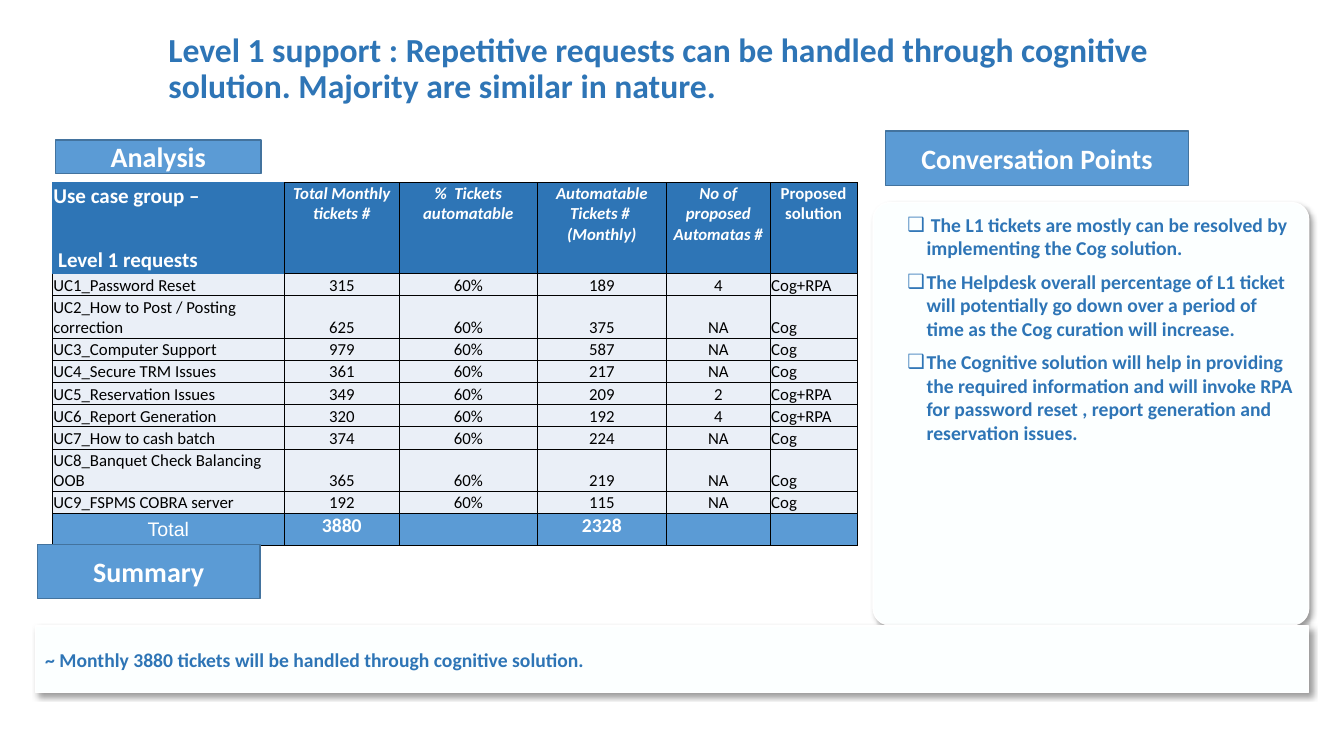
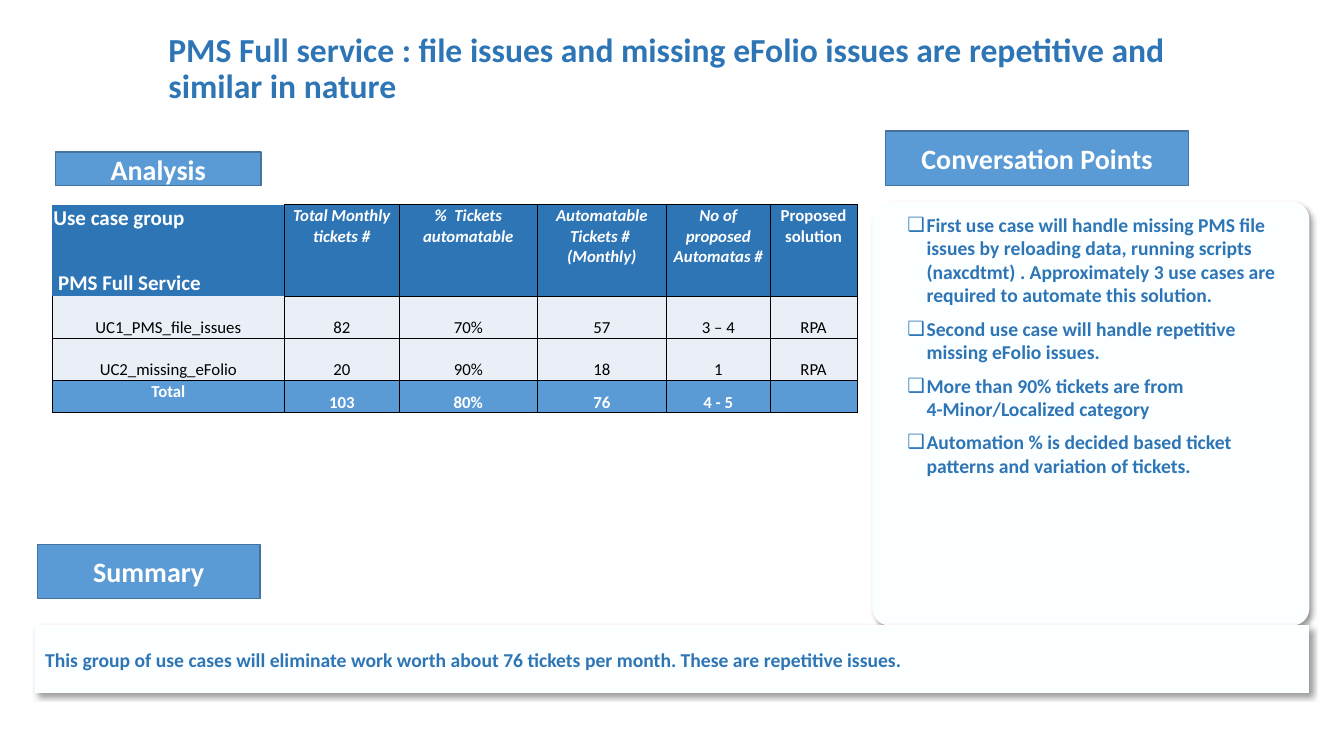
from lxml import etree
from pptx import Presentation
from pptx.dml.color import RGBColor
from pptx.enum.shapes import MSO_SHAPE
from pptx.enum.text import MSO_ANCHOR, MSO_AUTO_SIZE, PP_ALIGN
from pptx.oxml.ns import qn
from pptx.util import Pt

LEFT, CENTER = PP_ALIGN.LEFT, PP_ALIGN.CENTER
TOP, MIDDLE, BOTTOM = MSO_ANCHOR.TOP, MSO_ANCHOR.MIDDLE, MSO_ANCHOR.BOTTOM
RECTANGLE, ROUNDED = MSO_SHAPE.RECTANGLE, MSO_SHAPE.ROUNDED_RECTANGLE
NO_AUTOFIT = MSO_AUTO_SIZE.NONE

EMU_PER_PX = 9144
COLORS = {
    "accent": "2E75B6",
    "label": "5B9BD5",
    "label_edge": "43739E",
    "panel": "FCFFFF",
    "row": "EAEFF7",
    "white": "FFFFFF",
    "black": "000000",
}

TITLE_BOX = (157, 11, 1049, 116)
POINTS_LABEL_BOX = (878, 130, 301, 54)
POINTS_BOX = (866, 201, 432, 419)
SUMMARY_LABEL_BOX = (37, 540, 221, 54)
SUMMARY_BOX = (35, 621, 1263, 66)

COLUMN_WIDTHS = [230, 114, 137, 128, 103, 86]
HEADER_HEIGHTS = [25, 64]
TOTAL_HEIGHT = 32
COLUMN_HEADERS = [
    "Total Monthly tickets #",
    "%  Tickets\nautomatable",
    "Automatable Tickets #  (Monthly)",
    "No of proposed Automatas #",
    "Proposed solution",
]

SLIDES = [
    {
        "title": "Level 1 support : Repetitive requests can be handled through "
                 "cognitive solution. Majority are similar in nature.",
        "analysis_top": 139,
        "table_top": 181,
        "group": ["Use case group –", " Level 1 requests"],
        "text_align": LEFT,
        "row_heights": [22, 42, 22, 22, 22, 22, 22, 42, 22],
        "rows": [
            ["UC1_Password Reset", "315", "60%", "189", "4", "Cog+RPA"],
            ["UC2_How to Post / Posting correction", "625", "60%", "375", "NA", "Cog"],
            ["UC3_Computer Support", "979", "60%", "587", "NA", "Cog"],
            ["UC4_Secure TRM Issues", "361", "60%", "217", "NA", "Cog"],
            ["UC5_Reservation Issues", "349", "60%", "209", "2", "Cog+RPA"],
            ["UC6_Report Generation", "320", "60%", "192", "4", "Cog+RPA"],
            ["UC7_How to cash batch", "374", "60%", "224", "NA", "Cog"],
            ["UC8_Banquet Check Balancing OOB", "365", "60%", "219", "NA", "Cog"],
            ["UC9_FSPMS COBRA server", "192", "60%", "115", "NA", "Cog"],
        ],
        "totals": ["Total", "3880", "", "2328", "", ""],
        "total_label": {"size": 14, "font": "Arial", "bold": False, "anchor": MIDDLE},
        "total_value": {"size": 14, "bold": True, "anchor": TOP},
        "points": [
            " The L1 tickets are mostly can be resolved by implementing the Cog solution.",
            "The Helpdesk overall percentage of L1 ticket will potentially go down "
            "over a period of time as the Cog curation will increase.",
            "The Cognitive solution will help in providing the required information "
            "and will invoke RPA for password reset , report generation and "
            "reservation issues.",
        ],
        "summary": "~ Monthly 3880 tickets will be handled through cognitive solution.",
    },
    {
        "title": "PMS Full service : file issues and missing eFolio issues are "
                 "repetitive and similar in nature",
        "analysis_top": 151,
        "table_top": 203,
        "group": ["Use case group", " PMS Full Service"],
        "text_align": CENTER,
        "row_heights": [42, 42],
        "rows": [
            ["UC1_PMS_file_issues", "82", "70%", "57", "3 – 4", "RPA"],
            ["UC2_missing_eFolio", "20", "90%", "18", "1", "RPA"],
        ],
        "totals": ["Total", "103", "80%", "76", "4 - 5", ""],
        "total_label": {"size": 12, "bold": True, "anchor": TOP},
        "total_value": {"size": 12, "bold": True, "anchor": BOTTOM},
        "points": [
            "First use case will handle missing PMS file issues by reloading data, "
            "running scripts (naxcdtmt) . Approximately 3 use cases are required "
            "to automate this solution.",
            "Second use case will handle repetitive missing eFolio issues.",
            "More than 90% tickets are from 4-Minor/Localized category",
            "Automation % is decided based ticket patterns and variation of tickets.",
        ],
        "summary": "This group of use cases will eliminate work worth about 76 "
                   "tickets per month. These are repetitive issues.",
    },
]


def px(length):
    return length * EMU_PER_PX


def rgb(name):
    return RGBColor.from_string(COLORS[name])


def write_text(text_frame, lines, size, color, align=LEFT, bold=True,
               italic=False, font="Calibri"):
    text_frame.word_wrap = True
    for index, line in enumerate(lines):
        paragraph = text_frame.add_paragraph() if index else text_frame.paragraphs[0]
        paragraph.alignment = align
        run = paragraph.add_run()
        run.text = line
        run.font.name = font
        run.font.size = Pt(size)
        run.font.bold = bold
        run.font.italic = italic
        run.font.color.rgb = rgb(color)


def place(shape, box):
    shape.left, shape.top, shape.width, shape.height = map(px, box)


def add_box(slide, box, preset, fill, edge):
    shape = slide.shapes.add_shape(preset, *map(px, box))
    shape.shadow.inherit = False
    shape.fill.solid()
    shape.fill.fore_color.rgb = rgb(fill)
    shape.line.color.rgb = rgb(edge)
    shape.line.width = Pt(1)
    return shape


def add_panel(slide, box, preset):
    shape = add_box(slide, box, preset, "panel", "white")
    effects = shape.element.spPr.find(qn("a:effectLst"))
    shadow = etree.SubElement(effects, qn("a:outerShdw"), blurRad=str(Pt(4)),
                              dist=str(Pt(3)), dir="2700000", algn="tl",
                              rotWithShape="0")
    color = etree.SubElement(shadow, qn("a:srgbClr"), val=COLORS["black"])
    etree.SubElement(color, qn("a:alpha"), val="40000")
    return shape


def add_label(slide, box, text):
    label = add_box(slide, box, RECTANGLE, "label", "label_edge")
    label.text_frame.vertical_anchor = MIDDLE
    write_text(label.text_frame, [text], 20, "white", CENTER)


def fill_title(slide, box, text):
    title = slide.shapes.title
    place(title, box)
    title.text_frame.auto_size = NO_AUTOFIT
    title.text_frame.vertical_anchor = MIDDLE
    write_text(title.text_frame, [text], 24, "accent")
    title.text_frame.paragraphs[0].line_spacing = 0.9


def add_points(slide, box, points):
    left, top, width, height = box
    body = slide.placeholders[1]
    panel = add_panel(slide, box, ROUNDED)
    panel.adjustments[0] = 0.04
    body.element.addprevious(panel.element)
    inset = 5
    place(body, (left + inset, top + inset, width - 2 * inset, height - 2 * inset))
    body.text_frame.auto_size = NO_AUTOFIT
    body.text_frame.vertical_anchor = TOP
    write_text(body.text_frame, points, 14, "accent")
    for paragraph in body.text_frame.paragraphs:
        paragraph.level = 1
        paragraph.space_before = Pt(7)
        properties = paragraph._p.get_or_add_pPr()
        properties.set("marL", str(px(38)))
        properties.set("indent", str(px(-19)))
        etree.SubElement(properties, qn("a:buChar"), char="❑")


def add_summary(slide, box, text):
    panel = add_panel(slide, box, RECTANGLE)
    panel.text_frame.vertical_anchor = MIDDLE
    write_text(panel.text_frame, [text], 14, "accent")


def style_cell(cell, fill, edges="LRTB"):
    cell.margin_left = cell.margin_right = cell.margin_top = px(1)
    cell.margin_bottom = 0
    properties = cell._tc.get_or_add_tcPr()
    for side in "LRTB":
        border = etree.SubElement(properties, qn(f"a:ln{side}"), w=str(Pt(0.5)))
        if side in edges:
            solid = etree.SubElement(border, qn("a:solidFill"))
            etree.SubElement(solid, qn("a:srgbClr"), val=COLORS["black"])
        else:
            etree.SubElement(border, qn("a:noFill"))
    cell.fill.solid()
    cell.fill.fore_color.rgb = rgb(fill)


def fill_cell(cell, text, size, color, anchor, align=CENTER, **font_style):
    cell.vertical_anchor = anchor
    if text:
        write_text(cell.text_frame, text.split("\n"), size, color, align, **font_style)


def add_use_case_table(slide, left, top, content):
    heights = HEADER_HEIGHTS + content["row_heights"] + [TOTAL_HEIGHT]
    frame = slide.shapes.add_table(len(heights), len(COLUMN_WIDTHS), px(left), px(top),
                                   px(sum(COLUMN_WIDTHS)), px(sum(heights)))
    table = frame.table
    table.first_row = table.horz_banding = False
    for column, width in zip(table.columns, COLUMN_WIDTHS):
        column.width = px(width)
    for row, height in zip(table.rows, heights):
        row.height = px(height)

    header_count, last_row = len(HEADER_HEIGHTS), len(heights) - 1
    last_column = len(COLUMN_WIDTHS) - 1
    for row_index, row in enumerate(table.rows):
        for column_index, cell in enumerate(row.cells):
            if row_index < header_count:
                style_cell(cell, "accent", "LRTB" if column_index else "R")
            elif row_index == last_row:
                style_cell(cell, "label")
            else:
                first = row_index == header_count and column_index == 0
                style_cell(cell, "row", "LRB" if first else "LRTB")

    for row_index, text in enumerate(content["group"]):
        fill_cell(table.cell(row_index, 0), text, 15, "white", BOTTOM, LEFT)
    for column_index, text in enumerate(COLUMN_HEADERS, 1):
        header = table.cell(0, column_index)
        header.merge(table.cell(header_count - 1, column_index))
        fill_cell(header, text, 12, "white", TOP, italic=column_index < last_column)
    for row_index, values in enumerate(content["rows"], header_count):
        for column_index, text in enumerate(values):
            align = content["text_align"] if column_index in (0, last_column) else CENTER
            fill_cell(table.cell(row_index, column_index), text, 12, "black",
                      BOTTOM, align, bold=False)
    for column_index, text in enumerate(content["totals"]):
        style = content["total_value" if column_index else "total_label"]
        fill_cell(table.cell(last_row, column_index), text, color="white", **style)


def add_use_case_slide(presentation, content):
    slide = presentation.slides.add_slide(presentation.slide_layouts[1])
    fill_title(slide, TITLE_BOX, content["title"])
    add_points(slide, POINTS_BOX, content["points"])
    add_label(slide, (55, content["analysis_top"], 204, 33), "Analysis")
    add_label(slide, POINTS_LABEL_BOX, "Conversation Points")
    add_use_case_table(slide, 52, content["table_top"], content)
    add_summary(slide, SUMMARY_BOX, content["summary"])
    add_label(slide, SUMMARY_LABEL_BOX, "Summary")


def main():
    presentation = Presentation()
    presentation.slide_width = px(1333)
    presentation.slide_height = px(750)
    for content in SLIDES:
        add_use_case_slide(presentation, content)
    presentation.save("out.pptx")


if __name__ == "__main__":
    main()
